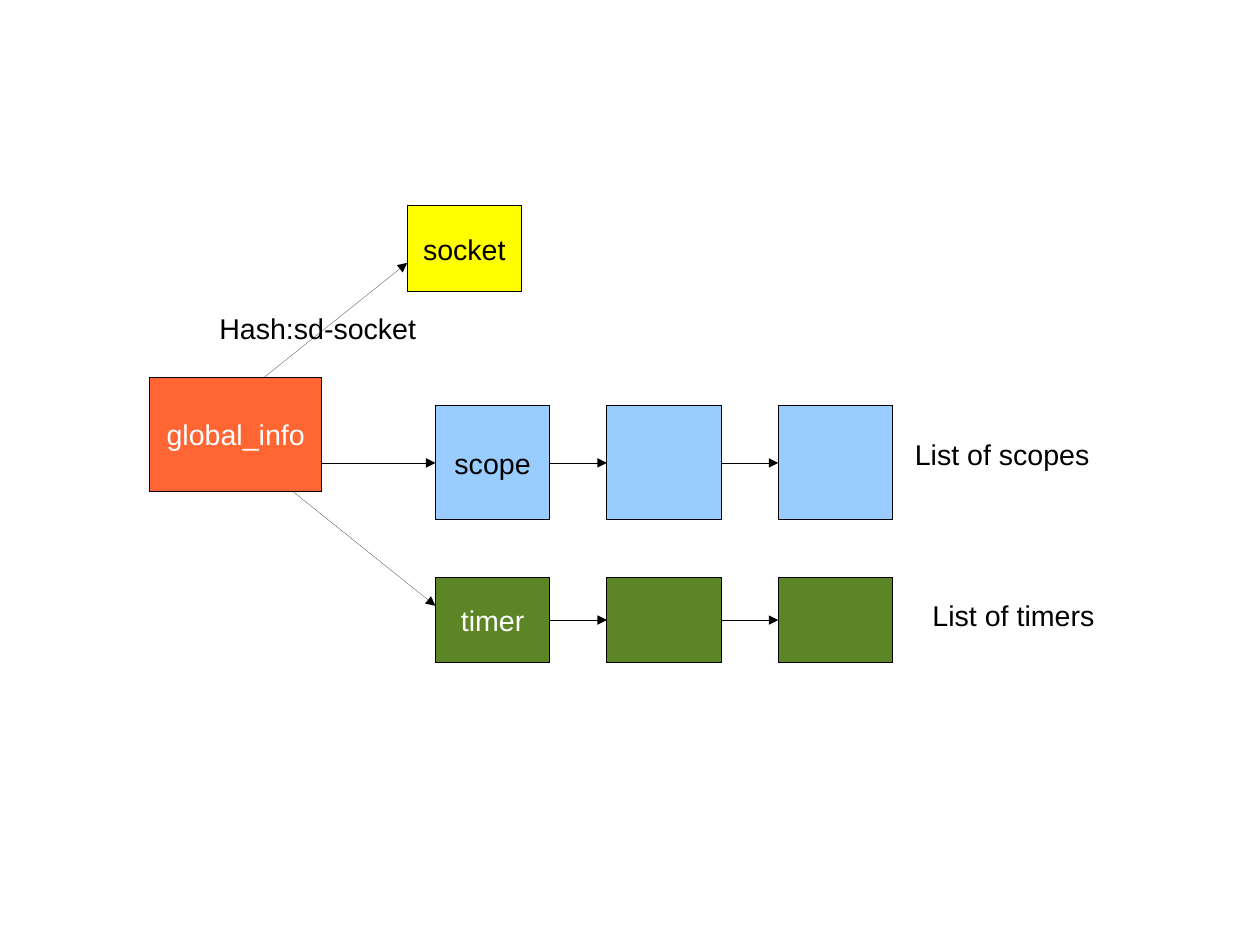
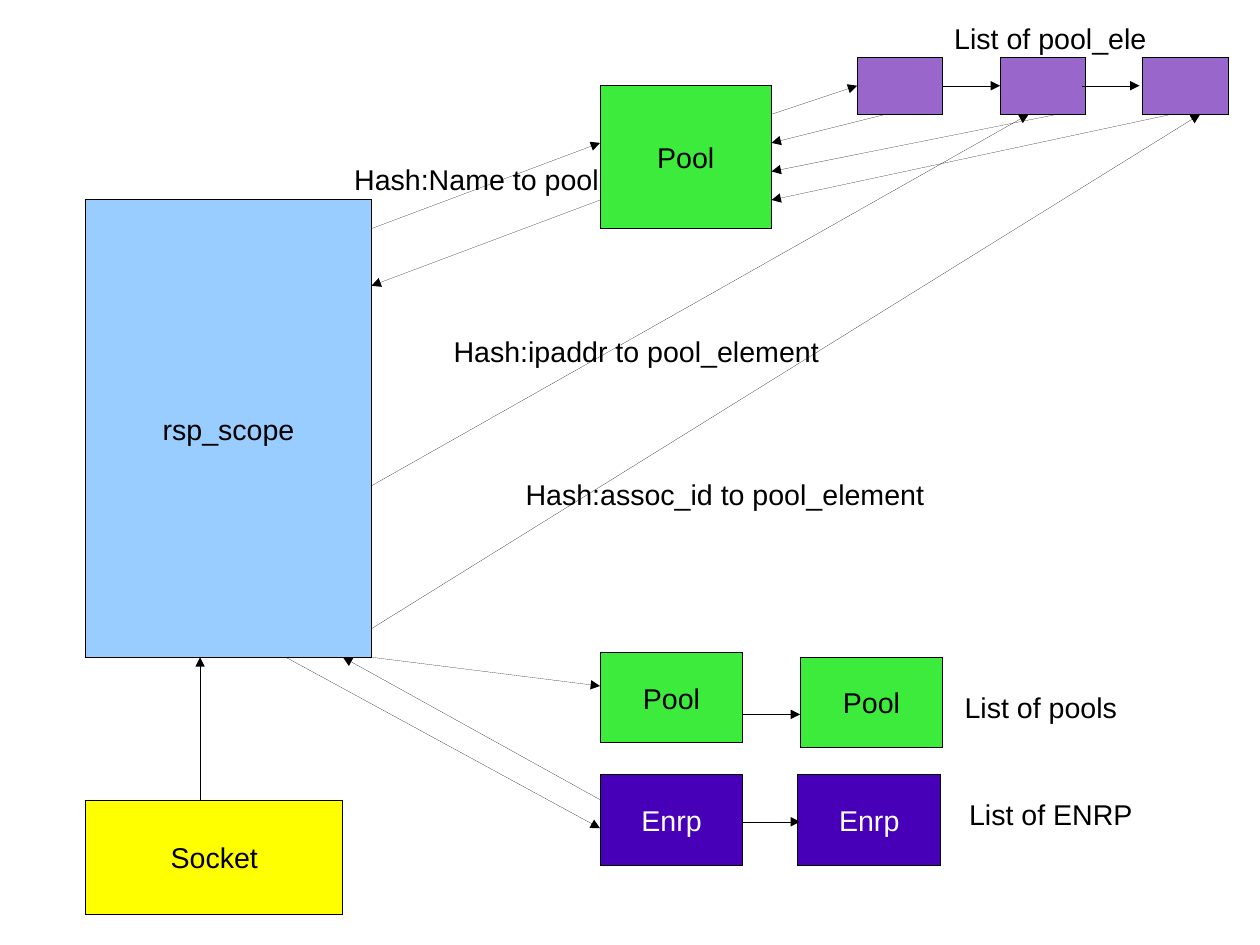
"""Draw two diagrams of linked data structures."""
import dataclasses

import lxml.etree
import pptx
import pptx.dml.color
import pptx.enum.shapes
import pptx.enum.text
import pptx.oxml.ns
import pptx.util

Pt = pptx.util.Pt


@dataclasses.dataclass(frozen=True)
class Theme:
    """Colours, type and line settings shared by the slides."""
    font: str = "Arial"
    size: float = 18
    hairline: str = "0"
    label_height: float = 27.36
    dark: str = "000000"
    light: str = "FFFFFF"
    root: str = "FF6633"
    socket: str = "FFFF00"
    scope: str = "99CCFF"
    timer: str = "5C8526"
    pool: str = "3DEB3D"
    element: str = "9966CC"
    enrp: str = "4700B8"


THEME = Theme()


@dataclasses.dataclass(frozen=True)
class Box:
    """A rectangle in points."""
    left: float
    top: float
    width: float
    height: float

    def at(self, across, down):
        """Return the point at the given fractions of the box."""
        return self.left + across * self.width, self.top + down * self.height

    def inside(self, left, top, width, height):
        """Return a box placed relative to this one."""
        return Box(self.left + left, self.top + top, width, height)

    def emu(self):
        """Return the four lengths for python-pptx."""
        return [Pt(value) for value in dataclasses.astuple(self)]


def rgb(colour):
    """Return a colour object for a hex string."""
    return pptx.dml.color.RGBColor.from_string(colour)


def style_line(shape):
    """Give a shape a dark line with an explicit zero width and return its outline."""
    shape.line.color.rgb = rgb(THEME.dark)
    outline = shape._element.spPr.find(pptx.oxml.ns.qn("a:ln"))
    outline.set("w", THEME.hairline)
    return outline


def write(frame, text, colour):
    """Write one paragraph in the shared type and return it."""
    frame.text = text
    para = frame.paragraphs[0]
    for span in para.runs:
        span.font.name = THEME.font
        span.font.size = Pt(THEME.size)
        span.font.color.rgb = rgb(colour)
    return para


def draw_node(page, box, fill, text="", colour=THEME.dark):
    """Draw a filled rectangle with optional centred text."""
    kind = pptx.enum.shapes.MSO_SHAPE.RECTANGLE
    node = page.shapes.add_shape(kind, *box.emu())
    node.shadow.inherit = False
    node.fill.solid()
    node.fill.fore_color.rgb = rgb(fill)
    style_line(node)
    if text:
        para = write(node.text_frame, text, colour)
        para.alignment = pptx.enum.text.PP_ALIGN.CENTER
        node.text_frame.vertical_anchor = pptx.enum.text.MSO_ANCHOR.MIDDLE


def draw_label(page, area, left, top, width, text):
    """Draw unwrapped text at an offset within the area."""
    box = area.inside(left, top, width, THEME.label_height)
    frame = page.shapes.add_textbox(*box.emu()).text_frame
    frame.word_wrap = False
    frame.auto_size = pptx.enum.text.MSO_AUTO_SIZE.SHAPE_TO_FIT_TEXT
    write(frame, text, THEME.dark)


def draw_arrow(page, start, end):
    """Draw a straight arrow between two points."""
    kind = pptx.enum.shapes.MSO_CONNECTOR.STRAIGHT
    ends = [Pt(value) for value in (*start, *end)]
    arrow = page.shapes.add_connector(kind, *ends)
    outline = style_line(arrow)
    name = pptx.oxml.ns.qn
    lxml.etree.SubElement(outline, name("a:tailEnd"), type="triangle")
    lxml.etree.SubElement(arrow._element.spPr, name("a:effectLst"))


def draw_chain(page, first, fill, text, colour):
    """Draw three equal nodes joined by arrows, with text in the first."""
    nodes = [first.inside(108 * i, 0, first.width, first.height) for i in range(3)]
    for node in nodes:
        draw_node(page, node, fill, text if node == first else "", colour)
    for node, following in zip(nodes, nodes[1:]):
        draw_arrow(page, node.at(1, 0.5), following.at(0, 0.5))


def draw_global_page(page, area):
    """Draw the global record with its socket, scopes and timers."""
    root = area.inside(94.5, 237.6, 108, 72)
    socket = area.inside(256.5, 129.6, 72, 54)
    scope = area.inside(274.3, 255.6, 72, 72)
    timer = area.inside(274.3, 363.6, 72, 54)
    draw_node(page, root, THEME.root, "global_info", THEME.light)
    draw_node(page, socket, THEME.socket, "socket")
    draw_chain(page, scope, THEME.scope, "scope", THEME.dark)
    draw_chain(page, timer, THEME.timer, "timer", THEME.light)
    draw_arrow(page, root.at(2 / 3, 0), socket.at(0, 2 / 3))
    draw_arrow(page, root.at(1, 0.75), scope.at(0, 0.5))
    draw_arrow(page, root.at(5 / 6, 1), timer.at(0, 1 / 3))
    draw_label(page, area, 131.04, 192.24, 140, "Hash:sd-socket")
    draw_label(page, area, 569.16, 271.44, 126, "List of scopes")
    draw_label(page, area, 580.32, 372.96, 118, "List of timers")


def draw_elements(page, area, scope):
    """Draw the hashed pool and its elements, linked to the scope."""
    pool = area.inside(0, 18, 108, 90)
    elements = [area.inside(162 + 90 * i, 0, 54, 36) for i in range(3)]
    first, second, third = elements
    draw_node(page, pool, THEME.pool, "Pool")
    for element in elements:
        draw_node(page, element, THEME.element)
    arrows = [
        (scope.at(1, 1 / 16), pool.at(0, 0.4)),
        (pool.at(0, 0.8), scope.at(1, 3 / 16)),
        (pool.at(1, 0.2), first.at(0, 0.5)),
        (first.at(1, 0.5), second.at(0, 0.5)),
        (second.at(0.96, 0.5), third.at(-0.04, 0.5)),
        (first.at(1 / 3, 1), pool.at(1, 0.4)),
        (second.at(2 / 3, 1), pool.at(1, 0.6)),
        (third.at(1 / 3, 1), pool.at(1, 0.8)),
        (scope.at(1, 5 / 8), second.at(1 / 3, 1)),
        (scope.at(1, 15 / 16), third.at(2 / 3, 1)),
    ]
    for start, end in arrows:
        draw_arrow(page, start, end)
    draw_label(page, area, -162, 62.64, 170, "Hash:Name to pool")
    draw_label(page, area, 216, -26.64, 137, "List of pool_ele")
    draw_label(page, area, -99.36, 170.64, 246, "Hash:ipaddr to pool_element")
    draw_label(page, area, -54, 260.64, 268, "Hash:assoc_id to pool_element")


def draw_pair(page, area, second, link, fill, text, colour):
    """Draw two nodes of one kind joined by an arrow."""
    for left, top in ((0, 0), second):
        draw_node(page, area.inside(left, top, 90, 56.88), fill, text, colour)
    height = area.top + link
    draw_arrow(page, (area.left + 90, height), (area.left + 126, height))


def draw_scope_page(page, area):
    """Draw the scope record with its hashes, lists and socket."""
    scope = area.inside(54, 126, 180, 288)
    socket = area.inside(54, 504, 162, 72)
    pools = area.inside(378, 411.12, 216, 60)
    enrps = area.inside(378, 488.16, 216, 60)
    draw_node(page, scope, THEME.scope, "rsp_scope")
    draw_node(page, socket, THEME.socket, "Socket")
    draw_elements(page, area.inside(378, 36, 396, 108), scope)
    draw_pair(page, pools, (126, 2.88), 38.88, THEME.pool, "Pool", THEME.dark)
    draw_pair(page, enrps, (124.56, 0), 29.52, THEME.enrp, "Enrp", THEME.light)
    draw_arrow(page, scope.at(1, 1), pools.at(0, 0.35))
    draw_arrow(page, scope.at(0.7, 1), enrps.at(0, 0.56))
    draw_arrow(page, enrps.at(0, 0.26), scope.at(0.9, 1))
    draw_arrow(page, socket.at(4 / 9, 0), scope.at(0.4, 1))
    draw_label(page, pools, 222.48, 20.16, 112, "List of pools")
    draw_label(page, enrps, 225.36, 10.08, 124, "List of ENRP")


def main():
    """Build and save the deck."""
    deck = pptx.Presentation()
    area = Box(0, 0, 793.7, 595.28)
    deck.slide_width, deck.slide_height = area.emu()[2:]
    for draw_page in (draw_global_page, draw_scope_page):
        draw_page(deck.slides.add_slide(deck.slide_layouts[6]), area)
    deck.save("out.pptx")


if __name__ == "__main__":
    main()
